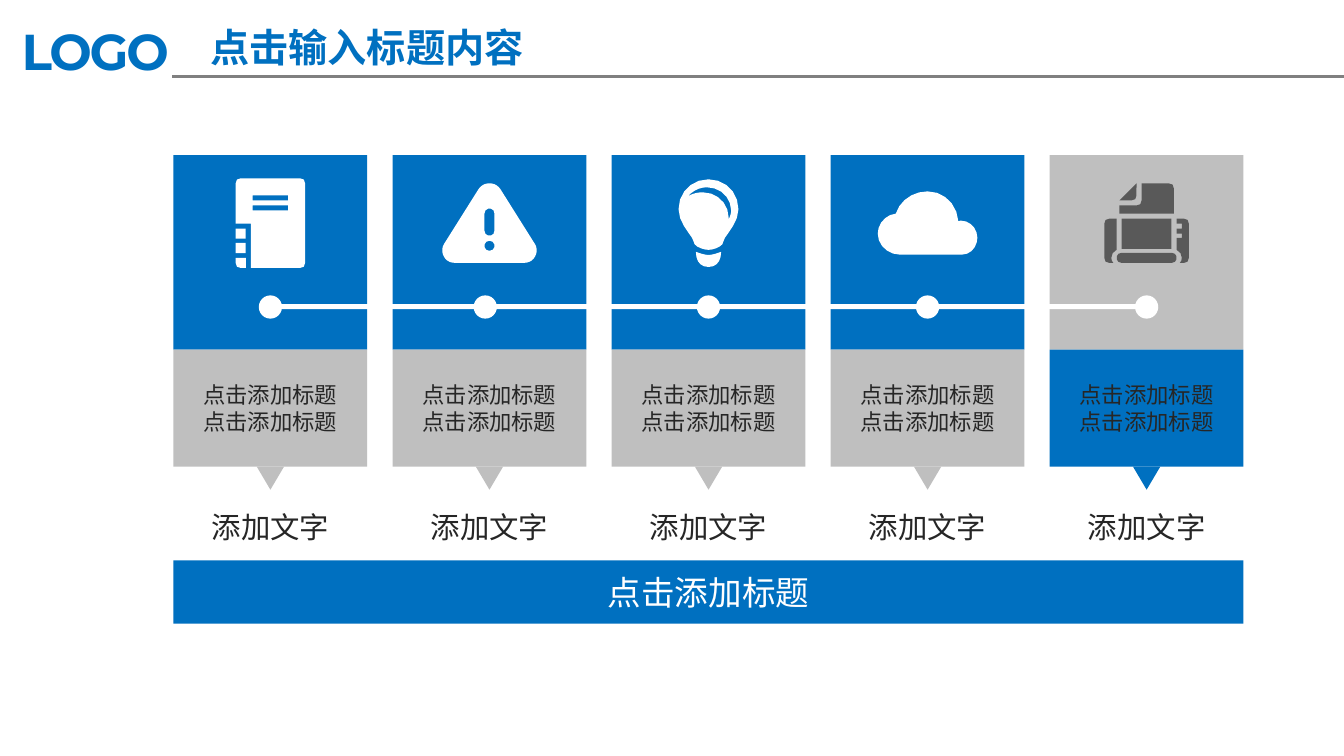
"""Build a slide of five linked icon cards above a closing banner."""
from dataclasses import dataclass

from lxml import etree
from pptx import Presentation
from pptx.dml.color import RGBColor
from pptx.enum.shapes import MSO_CONNECTOR, MSO_SHAPE as Preset
from pptx.enum.text import MSO_ANCHOR as Anchor, MSO_AUTO_SIZE as AutoSize, PP_ALIGN as Align
from pptx.oxml.ns import qn
from pptx.util import Pt


@dataclass(frozen=True)
class Theme:
    blue: str = "0070C0"
    silver: str = "BFBFBF"
    gray: str = "808080"
    dark: str = "595959"
    ink: str = "262626"
    white: str = "FFFFFF"
    latin: str = "Montserrat"
    chinese: str = "Noto Sans CJK SC"
    logo: int = 36
    title: int = 28
    banner: int = 24
    label: int = 21
    body: int = 16


def paint(shape, color):
    shape.shadow.inherit = False
    shape.fill.solid()
    shape.fill.fore_color.rgb = RGBColor.from_string(color)
    shape.line.fill.background()
    return shape


def write(frame, lines, size, color, font=Theme.chinese, bold=False, anchor=Anchor.TOP, align=Align.CENTER):
    frame.auto_size = AutoSize.NONE
    frame.vertical_anchor = anchor
    for index, line in enumerate(lines):
        para = frame.add_paragraph() if index else frame.paragraphs[0]
        para.alignment = align
        span = para.add_run()
        span.text = line
        span.font.size = Pt(size)
        span.font.bold = bold
        span.font.color.rgb = RGBColor.from_string(color)
        span.font.name = font
        etree.SubElement(span._r.get_or_add_rPr(), qn("a:ea"), typeface=font)


theme = Theme()
deck = Presentation()
deck.slide_width, deck.slide_height = Pt(960.5), Pt(540)
page = deck.slides.add_slide(deck.slide_layouts[5])
shapes = page.shapes

logo = shapes.add_textbox(Pt(6), Pt(9.5), Pt(134), Pt(53)).text_frame
logo.margin_left = logo.margin_right = Pt(9.4)
logo.margin_top = logo.margin_bottom = Pt(5)
write(logo, ["LOGO"], theme.logo, theme.blue, theme.latin, True, align=Align.LEFT)
logo.paragraphs[0].runs[0]._r.get_or_add_rPr().set("spc", "-150")

rule = shapes.add_connector(MSO_CONNECTOR.STRAIGHT, Pt(123), Pt(54.7), Pt(960.5), Pt(54.7))
rule.line.width = Pt(2)
rule.line.color.rgb = RGBColor.from_string(theme.gray)
etree.SubElement(rule._element.spPr, qn("a:effectLst"))

title = shapes.title
title.left, title.top, title.width, title.height = Pt(132.5), Pt(13.2), Pt(259.5), Pt(41)
write(title.text_frame, ["点击输入标题内容"], theme.title, theme.blue, bold=True)

notebook_tab = [
    [(-17.6, 32), (-21.2, 32), (-24.8, 32, -24.8, 28.4), (-24.8, 24.8), (-17.6, 24.8)],
]
notebook_cover = [
    [(-21.2, -32), (21.2, -32), (24.8, -32, 24.8, -28.4), (24.8, 28.4), (24.8, 32, 21.2, 32),
     (-14, 32), (-14, 0.4), (-24.8, 0.4), (-24.8, -28.4), (-24.8, -32, -21.2, -32)],
    [(-12.6, -19.8), (12.6, -19.8), (12.6, -16.2), (-12.6, -16.2)],
    [(-12.6, -12.6), (12.6, -12.6), (12.6, -9), (-12.6, -9)],
]
warning = [
    [(-7.9, -24.1), (-6.1, -27, -3.2, -28.4, 0, -28.4), (3.2, -28.4, 6.1, -27, 7.9, -24.1),
     (32.4, 14.8), (34.2, 17.6, 34.2, 21.2, 32.5, 24), (31, 26.8, 28.1, 28.4, 24.8, 28.4),
     (-24.8, 28.4), (-28.1, 28.4, -31, 26.8, -32.5, 24), (-34.2, 21.2, -34.2, 17.6, -32.4, 14.8)],
    [(0, 12.6), (4.8, 12.6, 4.8, 19.8, 0, 19.8), (-4.8, 19.8, -4.8, 12.6, 0, 12.6)],
    [(3.6, -6.8), (3.6, 5.4), (3.6, 10.2, -3.6, 10.2, -3.6, 5.4),
     (-3.6, -6.8), (-3.6, -11.6, 3.6, -11.6, 3.6, -6.8)],
]
bulb_base = [
    [(-9, 20.5), (-5, 22, -2, 22.7, 0, 22.7), (2, 22.7, 5, 22, 9, 20.5),
     (9, 27, 6, 31.3, 0, 31.3), (-6, 31.3, -9, 27, -9, 20.5)],
]
bulb_glass = [
    [(0, -31.3), (12, -31.3, 21.4, -21.9, 21.4, -9.9), (21.4, 1, 10.6, 9.7, 10.6, 13.3),
     (10.6, 16.5, 4, 19.1, 0, 19.1), (-4, 19.1, -10.6, 16.5, -10.6, 13.3),
     (-10.6, 9.7, -21.4, 1, -21.4, -9.9), (-21.4, -21.9, -12, -31.3, 0, -31.3)],
    [(-4, -22), (6.1, -22, 14.4, -14, 14.4, -4), (14.4, -2.7), (15.4, -4.7, 16.2, -6.8, 16.2, -9),
     (16.2, -18.4, 8.3, -25.6, -1.1, -25.6), (-6, -25.6, -11, -23.4, -14.8, -19.1),
     (-11.9, -21, -8, -22, -4, -22)],
]
cloud = [
    [(-22.7, -6.8), (-19.8, -16.2, -10.4, -22.7, 0, -22.7), (11.9, -22.7, 21.2, -13.3, 22, -1.4),
     (23.7, -1.8), (30.6, -1.8, 35.6, 4, 35.6, 10.4), (35.6, 16.2, 31.5, 22.5, 24.5, 22.5),
     (-19.8, 22.5), (-28.4, 22.5, -35.6, 15.6, -35.6, 7.5), (-35.6, 0.4, -29.9, -6.1, -22.7, -6.8)],
]
printer_left = [
    [(-26.6, -3.2), (-21.4, -3.2), (-21.4, 19), (-25.2, 21, -25.2, 24.8), (-25.2, 27, -23.8, 28.4),
     (-26.6, 28.4), (-30.2, 28.4, -30.2, 24.8), (-30.2, 0.4), (-30.2, -3.2, -26.6, -3.2)],
]
printer_tray = [
    [(-18, 21.2), (18, 21.2), (22.6, 21.2, 22.6, 28.4, 18, 28.4),
     (-18, 28.4), (-22.6, 28.4, -22.6, 21.2, -18, 21.2)],
]
printer_right = [
    [(21.4, -3.2), (26.6, -3.2), (30.2, -3.2, 30.2, 0.4), (30.2, 24.8), (30.2, 28.4, 26.6, 28.4),
     (23.8, 28.4), (25.2, 27, 25.2, 24.8), (25.2, 21, 21.4, 19), (21.4, 10.6), (25.2, 10.6),
     (25.2, 7.4), (21.4, 7.4), (21.4, 4), (25.2, 4), (25.2, 0.4), (21.4, 0.4)],
]
paper_fold = [[(-19.4, -16.2), (-7.2, -28.4), (-7.2, -19.8), (-7.2, -16.2, -10.8, -16.2)]]
paper = [
    [(-19.4, -12.6), (-7.2, -12.6), (-3.6, -12.6, -3.6, -16.2), (-3.6, -28.4), (15.8, -28.4),
     (19.4, -28.4, 19.4, -24.8), (19.4, -6.8), (-19.4, -6.8)],
]

notebook_rings = [(-24.8, 4, 7.2, 7.2), (-24.8, 14.2, 7.2, 7.2)]
printer_window = [(-17.8, -3.2, 35.6, 21.6)]
usual = (theme.blue, theme.silver, theme.white)
cards = [
    ([notebook_tab, notebook_cover], notebook_rings, 0, usual),
    ([warning], [], -3, usual),
    ([bulb_base, bulb_glass], [], 0, usual),
    ([cloud], [], 0, usual),
    ([printer_left, printer_tray, printer_right, paper_fold, paper], printer_window, 0,
     (theme.silver, theme.blue, theme.dark)),
]
card_left, card_width, card_pitch, icon_middle = 124, 138.5, 156.55, 159.4
curve_steps = {2: 1, 3: 2, 4: 5}
for index, (parts, bars, dot_shift, (tile_color, panel_color, icon_color)) in enumerate(cards):
    left = card_left + index * card_pitch
    center = left + card_width / 2
    paint(shapes.add_shape(Preset.RECTANGLE, Pt(left), Pt(110.8), Pt(card_width), Pt(139)), tile_color)
    panel = paint(shapes.add_shape(Preset.RECTANGLE, Pt(left), Pt(249.8), Pt(card_width), Pt(83.5)), panel_color)
    write(panel.text_frame, ["点击添加标题"] * 2, theme.body, theme.ink, anchor=Anchor.MIDDLE)

    for part in parts:
        builder = None
        for start, *segments in part:
            start_x, start_y = Pt(start[0]), Pt(start[1])
            if builder:
                builder.move_to(start_x, start_y)
            else:
                builder = shapes.build_freeform(start_x, start_y)
            current, outline = start, []
            for segment in segments:
                controls = [current, *zip(segment[::2], segment[1::2])]
                steps = curve_steps[len(controls)]
                for step in range(1, steps + 1):
                    share, points = step / steps, controls
                    while len(points) > 1:
                        points = [(ax + (bx - ax) * share, ay + (by - ay) * share)
                                  for (ax, ay), (bx, by) in zip(points, points[1:])]
                    outline.append((Pt(points[0][0]), Pt(points[0][1])))
                current = controls[-1]
            builder.add_line_segments(outline, close=True)
        paint(builder.convert_to_shape(Pt(center), Pt(icon_middle)), icon_color)
    for x, y, width, height in bars:
        paint(shapes.add_shape(Preset.RECTANGLE, Pt(center + x), Pt(icon_middle + y), Pt(width), Pt(height)), icon_color)

    paint(shapes.add_shape(Preset.OVAL, Pt(center + dot_shift - 8.3), Pt(211), Pt(16.6), Pt(16.6)), theme.white)
    pointer = shapes.add_shape(Preset.ISOSCELES_TRIANGLE, Pt(center - 9.75), Pt(333.3), Pt(19.5), Pt(16.5))
    paint(pointer, panel_color).rotation = 180
    label = shapes.add_textbox(Pt(center - 50.5), Pt(360), Pt(101), Pt(33)).text_frame
    write(label, ["添加文字"], theme.label, theme.ink)

paint(shapes.add_shape(Preset.RECTANGLE, Pt(188), Pt(217.3), Pt(626.5), Pt(3.6)), theme.white)
banner_width = card_pitch * (len(cards) - 1) + card_width
banner = paint(shapes.add_shape(Preset.RECTANGLE, Pt(card_left), Pt(400.2), Pt(banner_width), Pt(45.2)), theme.blue)
write(banner.text_frame, ["点击添加标题"], theme.banner, theme.white, anchor=Anchor.MIDDLE)

deck.save("out.pptx")
